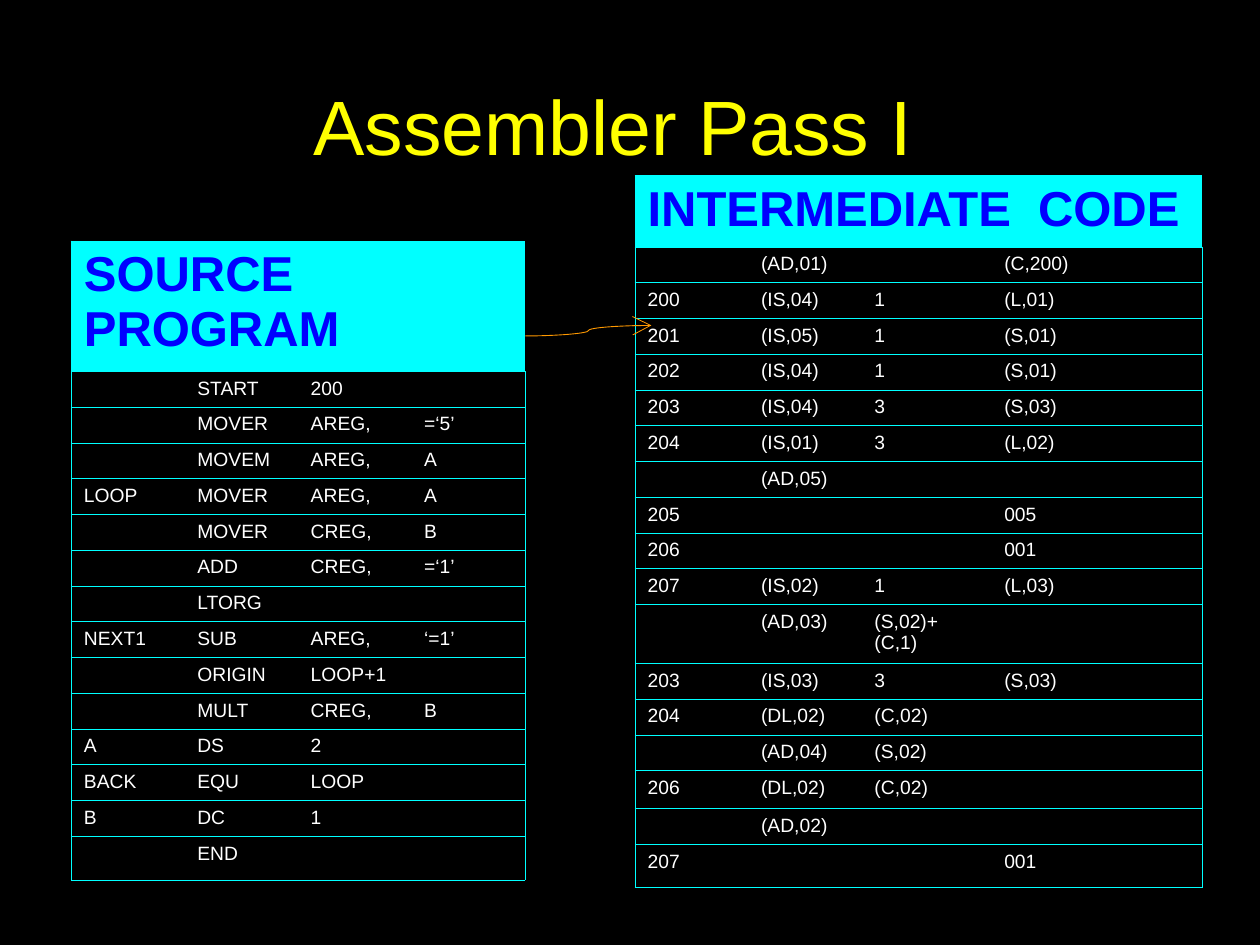
from dataclasses import dataclass
from lxml.etree import SubElement
from pptx import Presentation
from pptx.dml.color import RGBColor
from pptx.enum.shapes import MSO_CONNECTOR
from pptx.enum.text import MSO_ANCHOR, PP_ALIGN
from pptx.oxml.ns import qn
from pptx.slide import Slide
from pptx.table import _Cell
from pptx.text.text import _Paragraph
from pptx.util import Pt


@dataclass(frozen=True)
class Theme:
    font: str = "Arial"
    back: str = "000000"
    title: str = "FFFF00"
    cyan: str = "00FFFF"
    head: str = "0000FF"
    body: str = "FFFFFF"
    arrow: str = "FF9900"
    big: float = 44
    mid: float = 28
    small: float = 11
    line: float = 0.5


@dataclass(frozen=True)
class Grid:
    left: float
    top: float
    head: str
    cols: list[float]
    rows: list[float]
    body: list[str]


THEME = Theme()

SOURCE = Grid(
    40.75, 137.75, "SOURCE  PROGRAM", [64.8] * 4,
    [69.75] + [19.92] * 13 + [25],
    [
        "|START|200|",
        "|MOVER|AREG,|=‘5’",
        "|MOVEM|AREG,|A",
        "LOOP|MOVER|AREG,|A",
        "|MOVER|CREG,|B",
        "|ADD|CREG,|=‘1’",
        "|LTORG||",
        "NEXT1|SUB|AREG,|‘=1’",
        "|ORIGIN|LOOP+1|",
        "|MULT|CREG,|B",
        "A|DS|2|",
        "BACK|EQU|LOOP|",
        "B|DC|1|",
        "|END||",
    ],
)

CODE = Grid(
    362.9, 100.25, "INTERMEDIATE  CODE", [64.8, 64.8, 74.2, 55.4, 64.8],
    [38.5] + [19.92] * 7 + [19.5] * 3 + [32] + [19.92] * 2
    + [19.5, 21.75, 19.5, 24.5],
    [
        "|(AD,01)||(C,200)|",
        "200|(IS,04)|1|(L,01)|",
        "201|(IS,05)|1|(S,01)|",
        "202|(IS,04)|1|(S,01)|",
        "203|(IS,04)|3|(S,03)|",
        "204|(IS,01)|3|(L,02)|",
        "|(AD,05)|||",
        "205|||005|",
        "206|||001|",
        "207|(IS,02)|1|(L,03)|",
        "|(AD,03)|(S,02)+(C,1)||",
        "203|(IS,03)|3|(S,03)|",
        "204|(DL,02)|(C,02)||",
        "|(AD,04)|(S,02)||",
        "206|(DL,02)|(C,02)||",
        "|(AD,02)|||",
        "207|||001|",
    ],
)


def style(para: _Paragraph, size: float, color: str, bold: bool = False) -> None:
    font = para.font
    font.name = THEME.font
    font.size = Pt(size)
    font.bold = bold
    font.color.rgb = RGBColor.from_string(color)
    if not para.runs:
        SubElement(para._p, qn("a:endParaRPr"), sz=str(int(size * 100)))


def edge(cell: _Cell, sides: str) -> None:
    props = cell._tc.get_or_add_tcPr()
    for side in "LRTB":
        line = SubElement(props, qn(f"a:ln{side}"), w=str(Pt(THEME.line)))
        if side in sides:
            fill = SubElement(line, qn("a:solidFill"))
            SubElement(fill, qn("a:srgbClr"), val=THEME.cyan)
        else:
            SubElement(line, qn("a:noFill"))


def draw_grid(slide: Slide, grid: Grid) -> None:
    count = len(grid.cols)
    table = slide.shapes.add_table(
        len(grid.rows), count, Pt(grid.left), Pt(grid.top),
        Pt(sum(grid.cols)), Pt(sum(grid.rows)),
    ).table
    table.first_row = table.horz_banding = False
    for col, width in zip(table.columns, grid.cols):
        col.width = Pt(width)
    for row, height in zip(table.rows, grid.rows):
        row.height = Pt(height)
    table.cell(0, 0).merge(table.cell(0, count - 1))
    lines = [[grid.head] + [""] * (count - 1)]
    lines += [line.split("|") for line in grid.body]
    for r, line in enumerate(lines):
        for c, text in enumerate(line):
            cell = table.cell(r, c)
            edge(cell, "TB" + "L" * (c == 0) + "R" * (c == count - 1))
            cell.text = text
            para = cell.text_frame.paragraphs[0]
            if r == 0:
                cell.fill.solid()
                cell.fill.fore_color.rgb = RGBColor.from_string(THEME.cyan)
                style(para, THEME.mid, THEME.head, True)
            else:
                cell.fill.background()
                style(para, THEME.small, THEME.body)


def draw_title(slide: Slide, text: str) -> None:
    frame = slide.shapes.add_textbox(Pt(44.5), Pt(26.5), Pt(612), Pt(90)).text_frame
    frame.word_wrap = True
    frame.vertical_anchor = MSO_ANCHOR.MIDDLE
    para = frame.paragraphs[0]
    para.text = text
    para.alignment = PP_ALIGN.CENTER
    style(para, THEME.big, THEME.title)


def draw_arrow(slide: Slide) -> None:
    arrow = slide.shapes.add_connector(
        MSO_CONNECTOR.CURVE, Pt(300.25), Pt(192), Pt(372.25), Pt(186)
    )
    arrow.line.color.rgb = RGBColor.from_string(THEME.arrow)
    arrow.line.width = Pt(THEME.line)
    SubElement(arrow.line._get_or_add_ln(), qn("a:tailEnd"), type="arrow", w="lg", len="lg")
    SubElement(arrow._element.spPr, qn("a:effectLst"))


def main() -> None:
    deck = Presentation()
    deck.slide_width, deck.slide_height = Pt(720), Pt(540)
    slide = deck.slides.add_slide(deck.slide_layouts[6])
    slide.background.fill.solid()
    slide.background.fill.fore_color.rgb = RGBColor.from_string(THEME.back)
    draw_title(slide, "Assembler Pass I")
    draw_grid(slide, SOURCE)
    draw_grid(slide, CODE)
    draw_arrow(slide)
    deck.save("out.pptx")


if __name__ == "__main__":
    main()
